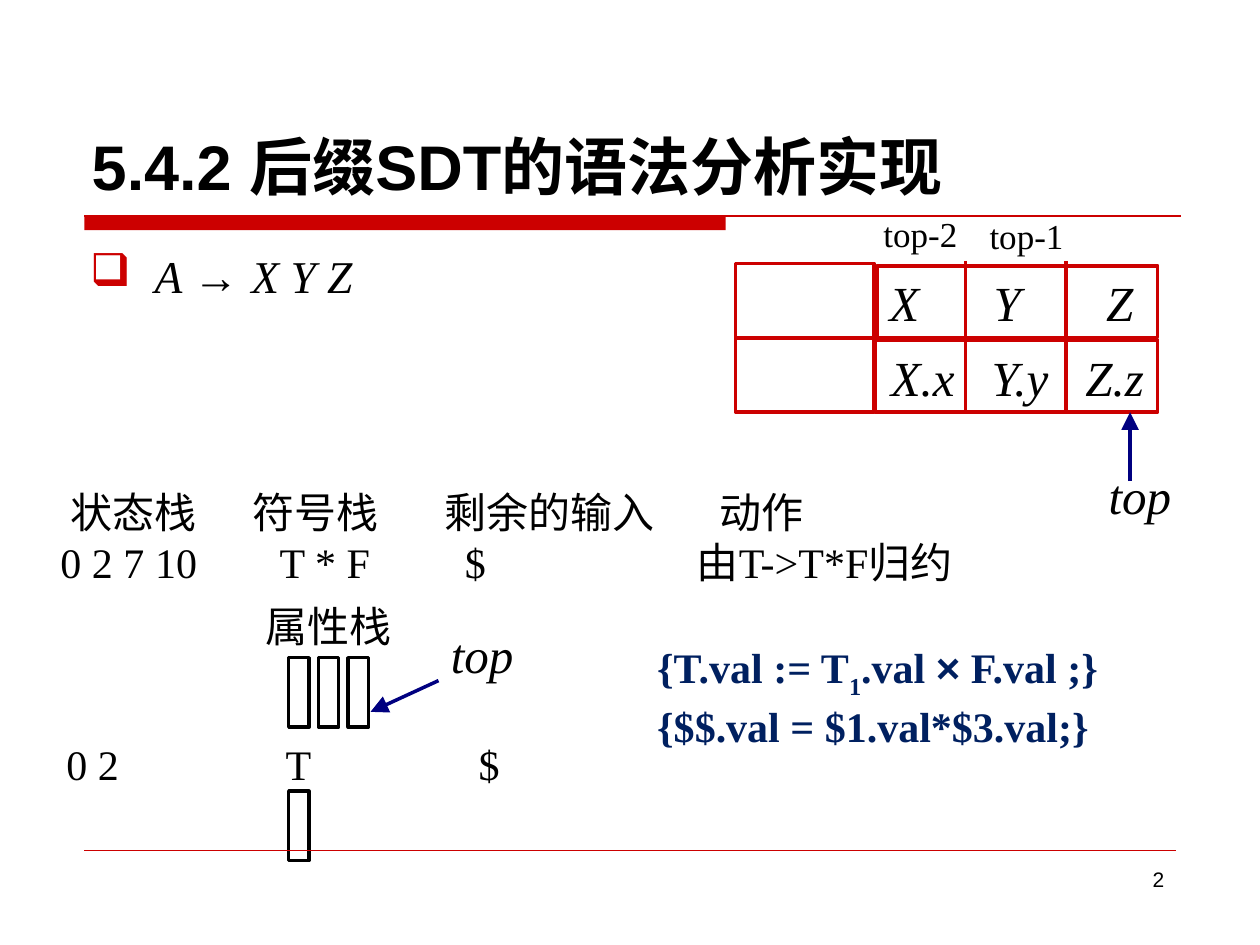
from lxml import etree
from pptx import Presentation
from pptx import util as u
from pptx.dml.color import RGBColor
from pptx.enum import shapes, text
from pptx.oxml.ns import qn

RED, NAVY, BLUE, BLACK = "CC0000", "000080", "002060", "000000"
SERIF = "Times New Roman"


def rgb(color):
    return RGBColor.from_string(color)


def add_text(box, paras, size, font=SERIF, color=BLACK, anchor="TOP", align="LEFT",
             wrap=True, tabs=(), **fmt):
    """Text box; each paragraph is a list of (text, format) runs, tabs are in cm per paragraph."""
    sp = s.shapes.add_textbox(*map(u.Cm, box))
    tf = sp.text_frame
    tf.word_wrap = wrap
    tf.vertical_anchor = getattr(text.MSO_ANCHOR, anchor)
    for i, runs in enumerate(paras):
        p = tf.paragraphs[0] if i == 0 else tf.add_paragraph()
        p.alignment = getattr(text.PP_ALIGN, align)
        if tabs:
            tab_list = etree.SubElement(p._p.get_or_add_pPr(), qn("a:tabLst"))
            for pos in tabs[i]:
                etree.SubElement(tab_list, qn("a:tab"), pos=str(u.Cm(pos)), algn="l")
        for content, extra in runs:
            r = p.add_run()
            r.text = content
            values = {"name": font, "size": u.Pt(size), **fmt, **extra}
            baseline = values.pop("baseline", None)
            for key, value in values.items():
                setattr(r.font, key, value)
            r.font.color.rgb = rgb(color)
            if baseline:
                r._r.get_or_add_rPr().set("baseline", str(baseline))
    return sp


prs = Presentation()
prs.slide_width, prs.slide_height = u.Cm(25.4), u.Cm(19.05)
s = prs.slides.add_slide(prs.slide_layouts[6])

# Thick bar under the title
bar = s.shapes.add_shape(shapes.MSO_SHAPE.RECTANGLE, u.Cm(1.7), u.Cm(4.34), u.Cm(12.93), u.Cm(0.3))
bar.shadow.inherit = False
bar.fill.solid()
bar.fill.fore_color.rgb = rgb(RED)
bar.line.fill.background()

# Stack cells, then the attribute stack bars before and after the reduction
cells = [
    (17.68, 5.36, 5.66, 1.45, RED), (14.83, 5.31, 2.79, 1.5, RED),
    (17.65, 6.86, 5.69, 1.45, RED), (14.83, 6.81, 2.79, 1.5, RED),
]
cells += [(5.82 + 0.6 * i, 13.26, 0.41, 1.4, BLACK) for i in range(3)]
cells.append((5.82, 15.95, 0.41, 1.4, BLACK))
for *box, color in cells:
    sp = s.shapes.add_shape(shapes.MSO_SHAPE.RECTANGLE, *map(u.Cm, box))
    sp.shadow.inherit = False
    sp.fill.background()
    sp.line.color.rgb = rgb(color)
    sp.line.width = u.Pt(2)

# Rules, stack dividers and arrows to the stack tops
lines = [
    (1.7, 4.35, 23.8, 4.35, RED, 1, False),
    (1.7, 17.15, 23.7, 17.15, RED, 0.25, False),
    (19.46, 5.26, 19.46, 8.26, RED, 2, False),
    (21.49, 5.26, 21.49, 8.26, RED, 2, False),
    (22.78, 9.7, 22.78, 8.31, NAVY, 2, True),
    (8.84, 13.72, 7.47, 14.35, NAVY, 2, True),
]
for *ends, color, width, arrow in lines:
    cx = s.shapes.add_connector(shapes.MSO_CONNECTOR.STRAIGHT, *map(u.Cm, ends))
    cx.line.color.rgb = rgb(color)
    cx.line.width = u.Pt(width)
    if arrow:
        etree.SubElement(cx.line._get_or_add_ln(), qn("a:tailEnd"),
                         type="triangle", w="lg", len="lg")
    etree.SubElement(cx._element.spPr, qn("a:effectLst"))

# Title and page number
add_text((1.6, 0.84, 22.23, 3.38), [[("5.4.2 后缀SDT的语法分析实现", {})]], 36, "Arial",
         anchor="BOTTOM", bold=True)
add_text((18.21, 17.35, 5.51, 1.32), [[("2", {})]], 12, "Arial", align="RIGHT")

# Production with its bullet
production = [("A ", {}), ("→ ", {"name": "Arial", "italic": False}), ("X Y Z", {})]
sp = add_text((1.57, 4.88, 22.23, 5.87), [production], 26, italic=True)
p = sp.text_frame.paragraphs[0]
p.space_before = u.Pt(6.5)
pPr = p._p.get_or_add_pPr()
pPr.set("marL", str(u.Cm(1.3)))
pPr.set("indent", str(u.Cm(-1.3)))
etree.SubElement(etree.SubElement(pPr, qn("a:buClr")), qn("a:srgbClr"), val=RED)
etree.SubElement(pPr, qn("a:buChar"), char="❑")

# Stack contents and position labels
for box, row, stops in [
    ((17.68, 5.36, 5.66, 1.45), "X\tY\tZ", (2.1, 4.37)),
    ((17.71, 6.86, 5.63, 1.45), "X.x\tY.y\tZ.z", (2.03, 3.92)),
]:
    add_text(box, [[(row, {})]], 28, anchor="BOTTOM", tabs=[stops], italic=True)
for x, y, label in [(19.69, 4.17, "top-1"), (17.55, 4.14, "top-2")]:
    add_text((x, y, 2.01, 1.12), [[(label, {})]], 20, anchor="BOTTOM", align="CENTER", wrap=False)
for x, y in [(21.73, 9.25), (8.47, 12.45)]:
    add_text((x, y, 2.5, 1.45), [[("top", {})]], 28, anchor="BOTTOM", align="CENTER",
             wrap=False, italic=True)

# Parsing steps
add_text((0.97, 9.68, 22.5, 2.29),
         [[("\t状态栈\t符号栈\t剩余的输入\t动作", {})],
          [("0 2 7 10\tT * F\t$\t由T->T*F归约", {})]],
         24, tabs=[(0.2, 3.88, 7.75, 13.29), (4.42, 8.15, 12.83)])
add_text((5.11, 11.99, 3.23, 1.27), [[("属性栈", {})]], 24, wrap=False)
add_text((1.09, 14.76, 9.47, 1.27), [[("0 2\tT\t$", {})]], 24, tabs=[(4.42, 8.31)])

# Semantic actions
add_text((13, 12.8, 9.73, 2.46),
         [[("{T.val := T", {}), ("1", {"baseline": -30000}), (".val ", {}),
           ("×", {"name": "Arial"}), (" F.val ;}", {})],
          [("{$$.val = $1.val*$3.val;}", {})]],
         24, color=BLUE, wrap=False, bold=True)

prs.save("out.pptx")
